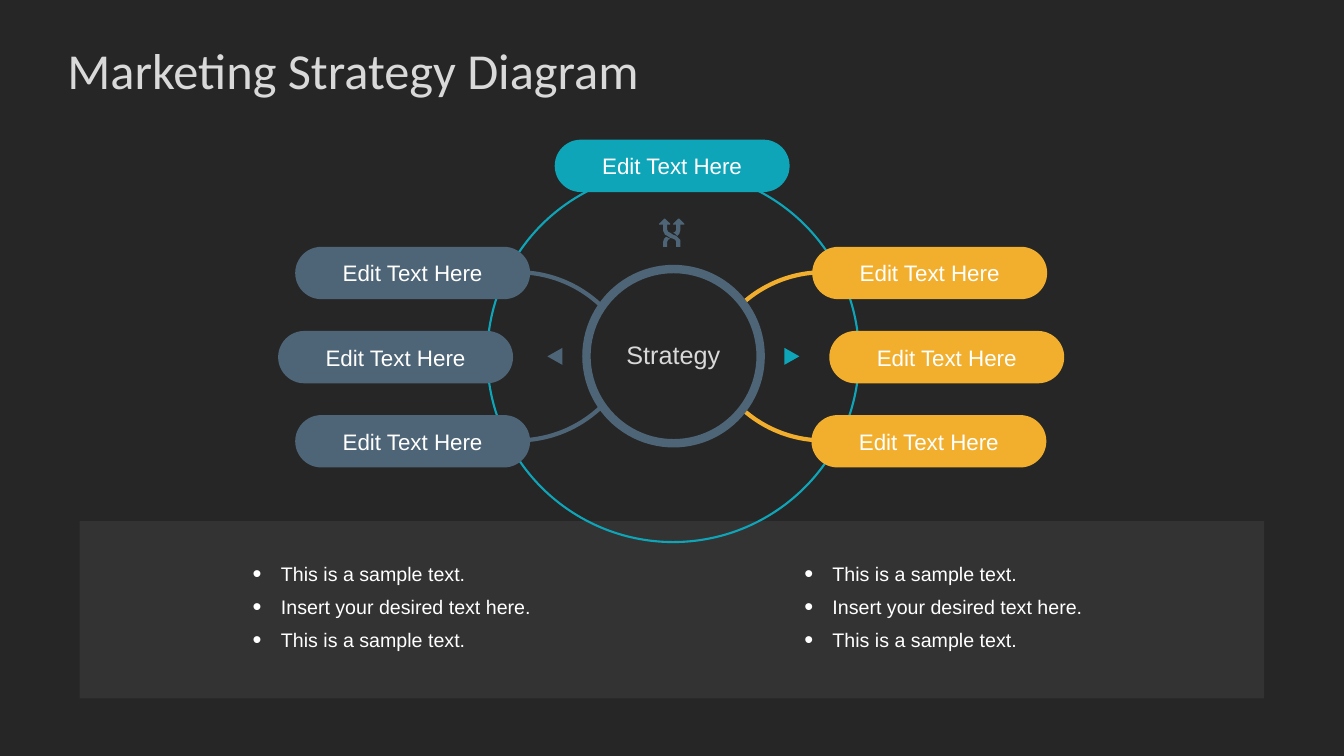
from typing import NamedTuple

from lxml import etree
from pptx import Presentation
from pptx.dml.color import RGBColor
from pptx.enum.shapes import MSO_SHAPE
from pptx.enum.text import MSO_ANCHOR, PP_ALIGN
from pptx.oxml.ns import qn
from pptx.util import Cm, Pt

RECT, ROUND_RECT = MSO_SHAPE.RECTANGLE, MSO_SHAPE.ROUNDED_RECTANGLE
OVAL, ARC, TRIANGLE = MSO_SHAPE.OVAL, MSO_SHAPE.ARC, MSO_SHAPE.ISOSCELES_TRIANGLE
MIDDLE, TOP = MSO_ANCHOR.MIDDLE, MSO_ANCHOR.TOP
CENTER, LEFT = PP_ALIGN.CENTER, PP_ALIGN.LEFT

DARK = RGBColor(0x26, 0x26, 0x26)
PANEL = RGBColor(0x40, 0x40, 0x40)
LIGHT = RGBColor(0xD9, 0xD9, 0xD9)
WHITE = RGBColor(0xFF, 0xFF, 0xFF)
SLATE = RGBColor(0x4E, 0x65, 0x77)
AMBER = RGBColor(0xF2, 0xAF, 0x2D)
TEAL = RGBColor(0x0F, 0xA5, 0xB9)


class Box(NamedTuple):
    """Left, top, width and height in centimetres."""
    x: float
    y: float
    w: float
    h: float

    def lengths(self):
        return [Cm(v) for v in self]


class Pill(NamedTuple):
    x: float
    y: float
    color: RGBColor


class Branch(NamedTuple):
    x: float
    y: float
    start: float  # degrees, clockwise from the right
    color: RGBColor


class Pointer(NamedTuple):
    x: float
    rotation: int
    color: RGBColor


PILL_W, PILL_H = 5.92, 1.32
ROW_TOP, ROW_STEP = 6.22, 2.12
PILLS = [
    *(Pill(x, ROW_TOP + i * ROW_STEP, SLATE) for i, x in enumerate((7.44, 7.01, 7.44))),
    *(Pill(x, ROW_TOP + i * ROW_STEP, AMBER) for i, x in enumerate((20.47, 20.9, 20.45))),
    Pill(13.98, 3.52, TEAL),
]

BRANCH_SIZE, SWEEP = 6.12, 49.39
BRANCHES = [
    Branch(17.7, 6.86, 270 - SWEEP, AMBER),
    Branch(17.7, 4.98, 90, AMBER),
    Branch(9.98, 6.86, 270, SLATE),
    Branch(9.98, 4.98, 90 - SWEEP, SLATE),
]

POINTERS = [Pointer(13.77, 270, SLATE), Pointer(19.74, 90, TEAL)]

# Crossing-arrows icon: outlines in units of ICON_UNIT from its top left corner
ICON_X, ICON_Y, ICON_UNIT = 16.61, 5.51, Cm(0.0254)
ICON_PARTS = [
    [(0, 5), (5, 0), (6, 0), (11, 5), (11, 6), (8, 6), (8, 11), (9, 13), (11, 14),
     (14, 16), (17, 17), (19, 19), (21, 21), (21, 28), (17, 28), (17, 23), (16, 21),
     (14, 20), (11, 19), (8, 17), (6, 16), (5, 14), (4, 12), (4, 6), (0, 6)],
    [(4, 28), (4, 23), (5, 20), (7, 18), (9, 19), (11, 20), (9, 21), (8, 23), (8, 28)],
    [(14, 14), (16, 13), (17, 11), (17, 6), (14, 6), (14, 5), (19, 0), (20, 0),
     (25, 5), (25, 6), (21, 6), (21, 12), (20, 15), (18, 17), (16, 15)],
]

BULLETS = ["This is a sample text.", "Insert your desired text here.", "This is a sample text."]


def paint(sp, fill: RGBColor | None, line: RGBColor | None = None, width: float = 0) -> None:
    sp.shadow.inherit = False
    if fill is None:
        sp.fill.background()
    else:
        sp.fill.solid()
        sp.fill.fore_color.rgb = fill
    if line is None:
        sp.line.fill.background()
    else:
        sp.line.color.rgb = line
        sp.line.width = Pt(width)


def add_shape(s, kind, box: Box, fill: RGBColor | None,
              line: RGBColor | None = None, width: float = 0):
    sp = s.shapes.add_shape(kind, *box.lengths())
    paint(sp, fill, line, width)
    return sp


def write(sp, text: str, size: int, color: RGBColor, font: str = "Arial",
          align=CENTER, anchor=MIDDLE, wrap: bool = True):
    tf = sp.text_frame
    tf.text = text
    tf.word_wrap = wrap
    tf.vertical_anchor = anchor
    for p in tf.paragraphs:
        p.alignment = align
        for r in p.runs:
            r.font.name = font
            r.font.size = Pt(size)
            r.font.color.rgb = color
    return tf


def set_opacity(sp, percent: int) -> None:
    color = sp.fill._xPr.find(qn("a:solidFill"))[0]
    etree.SubElement(color, qn("a:alpha"), val=str(percent * 1000))


def add_bullets(s, box: Box) -> None:
    tb = s.shapes.add_textbox(*box.lengths())
    tf = write(tb, "\n".join(BULLETS), 14, WHITE, align=LEFT, anchor=TOP)
    for p in tf.paragraphs:
        p.line_spacing = 1.4
        pPr = p._p.get_or_add_pPr()
        pPr.set("marL", str(Cm(0.71)))
        pPr.set("indent", str(-Cm(0.71)))
        etree.SubElement(pPr, qn("a:buSzPct"), val="130000")
        etree.SubElement(pPr, qn("a:buFont"), typeface="Arial")
        etree.SubElement(pPr, qn("a:buChar"), char="•")


def add_branch(s, branch: Branch) -> None:
    box = Box(branch.x, branch.y, BRANCH_SIZE, BRANCH_SIZE)
    sp = add_shape(s, ARC, box, None, branch.color, 3)
    # Arc angles are stored in 60000ths of a degree, adjustments in 100000ths
    for i, angle in enumerate((branch.start, branch.start + SWEEP)):
        sp.adjustments[i] = angle * 0.6


def add_pill(s, pill: Pill) -> None:
    sp = add_shape(s, ROUND_RECT, Box(pill.x, pill.y, PILL_W, PILL_H), pill.color)
    sp.adjustments[0] = 0.5
    write(sp, "Edit Text Here", 16, WHITE)


def add_icon(s) -> None:
    for start, *rest in ICON_PARTS:
        builder = s.shapes.build_freeform(*start, scale=ICON_UNIT)
        builder.add_line_segments(rest, close=True)
        paint(builder.convert_to_shape(Cm(ICON_X), Cm(ICON_Y)), SLATE)


def main() -> None:
    prs = Presentation()
    prs.slide_width, prs.slide_height = Cm(33.87), Cm(19.05)
    s = prs.slides.add_slide(prs.slide_layouts[6])
    s.background.fill.solid()
    s.background.fill.fore_color.rgb = DARK

    panel = add_shape(s, RECT, Box(2.01, 13.13, 29.85, 4.47), PANEL)
    set_opacity(panel, 50)

    title = s.shapes.add_textbox(*Box(1.7, 0.76, 30.48, 1.98).lengths())
    tf = write(title, "Marketing Strategy Diagram", 36, LIGHT, "Calibri", LEFT)
    tf.margin_left = tf.margin_right = 0

    for branch in BRANCHES:
        add_branch(s, branch)
    add_shape(s, OVAL, Box(12.28, 4.29, 9.37, 9.37), None, TEAL, 1.5)
    for pill in PILLS:
        add_pill(s, pill)

    add_shape(s, OVAL, Box(14.78, 6.78, 4.39, 4.39), DARK, SLATE, 6)
    hub_label = s.shapes.add_textbox(*Box(15.52, 8.43, 2.9, 1.02).lengths())
    write(hub_label, "Strategy", 18, LIGHT, wrap=False)

    for pointer in POINTERS:
        sp = add_shape(s, TRIANGLE, Box(pointer.x, 8.79, 0.43, 0.38), pointer.color)
        sp.rotation = pointer.rotation
    add_icon(s)

    for x in (6.12, 20.02):
        add_bullets(s, Box(x, 13.79, 7.72, 2.77))

    prs.save("out.pptx")


if __name__ == "__main__":
    main()
